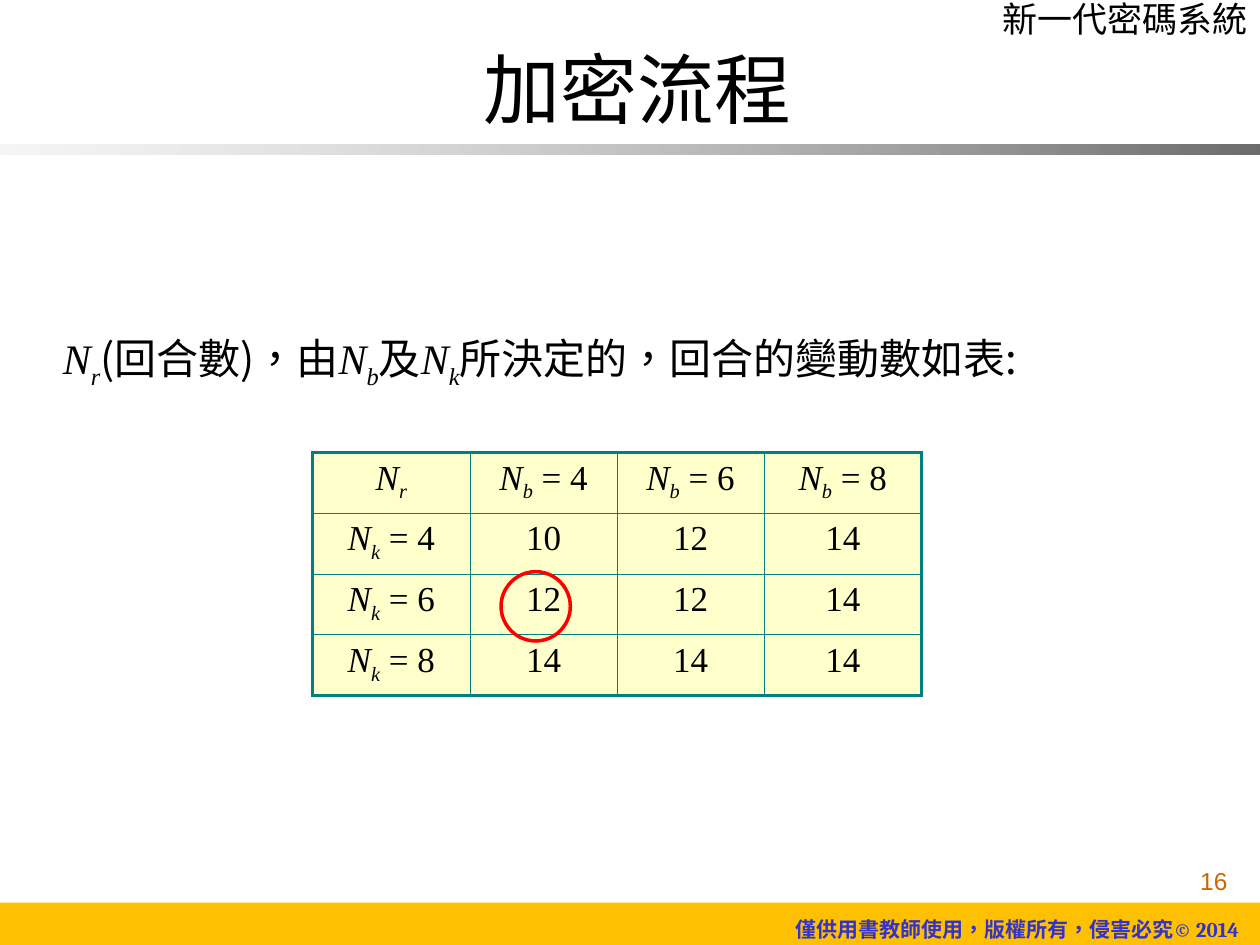
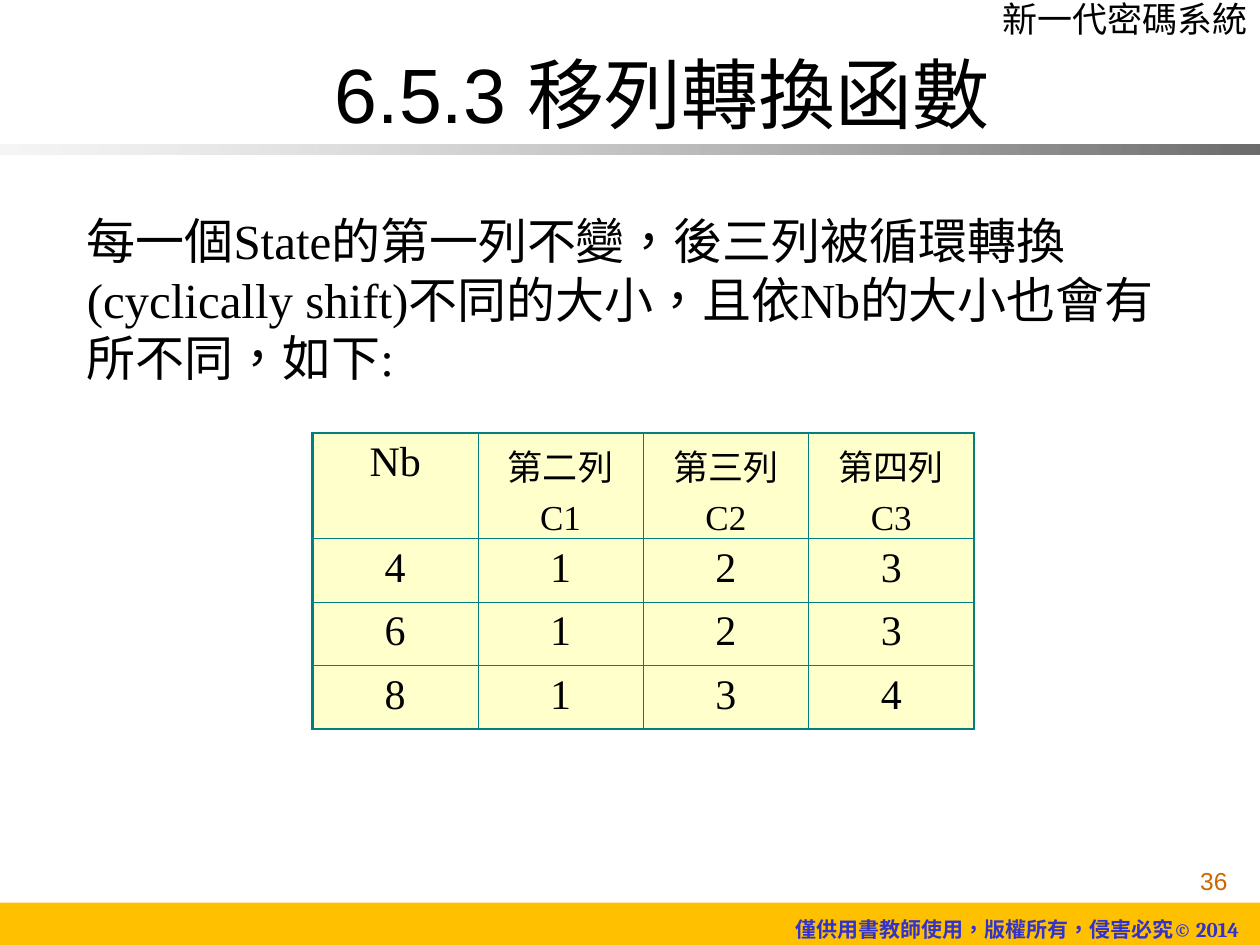
from lxml.etree import SubElement
from pptx import Presentation
from pptx.dml.color import RGBColor
from pptx.enum.shapes import MSO_SHAPE
from pptx.enum.text import MSO_AUTO_SIZE, PP_ALIGN
from pptx.oxml.ns import qn
from pptx.util import Pt

COLORS = {
    "text": "000000", "footer": "FFC000", "notice": "3333CC", "number": "CC6600",
    "cell": "FFFFCC", "border": "008080", "ring": "FF0000",
    "band_start": "EAEAEA", "band_end": "6C6C6C",
}
SERIF, SANS, CHINESE = "Times New Roman", "Arial", "Noto Sans CJK SC"
BOOK = "新一代密碼系統"
NOTICE = "僅供用書教師使用，版權所有，侵害必究© 2014"

ROUNDS = {
    "number": "16",
    "title": [("加密流程", SERIF)],
    "title_box": (269.3, 20.2, 192, 60.5),
    "body": "N_r(回合數)，由N_b及N_k所決定的，回合的變動數如表:",
    "body_font": CHINESE, "body_size": 24, "body_wrap": False,
    "body_box": (28.8, 186.5, 626.4, 40.3),
    "rows": [
        ["N_r", "N_b = 4", "N_b = 6", "N_b = 8"],
        ["N_k = 4", "10", "12", "14"],
        ["N_k = 6", "12", "12", "14"],
        ["N_k = 8", "14", "14", "14"],
    ],
    "cell_size": 20, "table_top": 258.6,
    "widths": [90, 84, 84, 90], "heights": [34.7] * 4,
    "ring": (286.3, 326.7, 39.6, 39.6),
}
SHIFTS = {
    "number": "36",
    "title": [("6.5.3 ", SANS), ("移列轉換函數", SERIF)],
    "title_box": (184.3, 23, 402, 60.5),
    "body": "每一個State的第一列不變，後三列被循環轉換(cyclically shift)不同的大小，"
            "且依Nb的大小也會有所不同，如下:",
    "body_font": SERIF, "body_size": 28, "body_wrap": True,
    "body_box": (42.5, 116.6, 635, 108),
    "rows": [
        ["Nb", "第二列\nC1", "第三列\nC2", "第四列\nC3"],
        ["4", "1", "2", "3"],
        ["6", "1", "2", "3"],
        ["8", "1", "3", "4"],
    ],
    "cell_size": 24, "table_top": 247.5,
    "widths": [94.5] * 4, "heights": [60.4, 36.2, 36.2, 36.2],
    "ring": None,
}
STACKED_SIZE = 20
TABLE_LEFT = 178.6
THICK, THIN = 1.47, 0.45


def rgb(name):
    return RGBColor.from_string(COLORS[name])


def points(box):
    return [Pt(value) for value in box]


def add_run(paragraph, text, name=None, subscript=False, italic=None):
    run = paragraph.add_run()
    run.text = text
    run.font.italic = italic
    if name:
        run.font.name = name
    properties = run._r.get_or_add_rPr()
    properties.set("lang", "zh-TW")
    if subscript:
        properties.set("baseline", "-25000")
    east_asian = SubElement(properties, qn("a:ea"))
    east_asian.set("typeface", CHINESE)


def add_math(paragraph, text, plain_font=None):
    start, *symbols = text.split("N_")
    if start:
        add_run(paragraph, start, plain_font)
    for symbol in symbols:
        add_run(paragraph, "N", SERIF, italic=True)
        add_run(paragraph, symbol[0], SERIF, subscript=True, italic=True)
        if symbol[1:]:
            add_run(paragraph, symbol[1:], plain_font)


def style(paragraph, size, color="text", name=None, align=PP_ALIGN.LEFT):
    paragraph.alignment = align
    paragraph.font.size = Pt(size)
    paragraph.font.color.rgb = rgb(color)
    if name:
        paragraph.font.name = name


def add_text(slide, box, size, color="text", name=None, align=PP_ALIGN.LEFT, wrap=True):
    frame = slide.shapes.add_textbox(*points(box)).text_frame
    frame.word_wrap = wrap
    if not wrap:
        frame.auto_size = MSO_AUTO_SIZE.SHAPE_TO_FIT_TEXT
    paragraph = frame.paragraphs[0]
    style(paragraph, size, color, name, align)
    return paragraph


def add_plain_shape(slide, kind, box):
    shape = slide.shapes.add_shape(kind, *points(box))
    shape.shadow.inherit = False
    return shape


def add_frame(slide, number):
    footer = add_plain_shape(slide, MSO_SHAPE.RECTANGLE, (0, 515.8, 720, 25.9))
    footer.fill.solid()
    footer.fill.fore_color.rgb = rgb("footer")
    footer.line.fill.background()

    band = add_plain_shape(slide, MSO_SHAPE.RECTANGLE, (0, 82.5, 720, 6))
    band.fill.gradient()
    band.fill.gradient_angle = 0
    band.line.fill.background()
    for stop, position, color in zip(band.fill.gradient_stops, (0, 1), ("band_start", "band_end")):
        stop.position = position
        stop.color.rgb = rgb(color)
    first_color = next(band._element.iter(qn("a:gs")))[0]
    SubElement(first_color, qn("a:alpha")).set("val", "45000")

    add_run(add_text(slide, (528.5, -5, 191.5, 31.7), 20, name=SERIF, align=PP_ALIGN.RIGHT), BOOK)
    notice = add_text(slide, (447.5, 520.4, 272.9, 21.6), 12, "notice", "Cambria", wrap=False)
    notice.font.bold = True
    add_run(notice, NOTICE)
    add_run(add_text(slide, (558.7, 491.3, 149.8, 36), 14, "number", SANS, PP_ALIGN.RIGHT), number)


def set_borders(cell, widths):
    properties = cell._tc.get_or_add_tcPr()
    for side, width in zip("LRTB", widths):
        line = SubElement(properties, qn(f"a:ln{side}"))
        line.set("w", str(Pt(width)))
        fill = SubElement(line, qn("a:solidFill"))
        SubElement(fill, qn("a:srgbClr")).set("val", COLORS["border"])


def add_value_table(slide, content):
    rows, widths, heights = content["rows"], content["widths"], content["heights"]
    box = (TABLE_LEFT, content["table_top"], sum(widths), sum(heights))
    table = slide.shapes.add_table(len(rows), len(widths), *points(box)).table
    table.first_row = table.horz_banding = False
    for column, width in zip(table.columns, widths):
        column.width = Pt(width)
    for row, height in zip(table.rows, heights):
        row.height = Pt(height)
    last_row, last_column = len(rows) - 1, len(widths) - 1
    for i, values in enumerate(rows):
        for j, value in enumerate(values):
            cell = table.cell(i, j)
            outer = (j == 0, j == last_column, i == 0, i == last_row)
            set_borders(cell, [THICK if edge else THIN for edge in outer])
            cell.fill.solid()
            cell.fill.fore_color.rgb = rgb("cell")
            lines = value.split("\n")
            size = STACKED_SIZE if len(lines) > 1 else content["cell_size"]
            for k, line in enumerate(lines):
                frame = cell.text_frame
                paragraph = frame.add_paragraph() if k else frame.paragraphs[0]
                style(paragraph, size, name=SERIF, align=PP_ALIGN.CENTER)
                paragraph.space_before = Pt(size / 4)
                add_math(paragraph, line)


def build_slide(presentation, content):
    slide = presentation.slides.add_slide(presentation.slide_layouts[6])
    add_frame(slide, content["number"])
    body = add_text(slide, content["body_box"], content["body_size"], wrap=content["body_wrap"])
    add_math(body, content["body"], content["body_font"])
    add_value_table(slide, content)
    title = add_text(slide, content["title_box"], 44, wrap=False)
    for text, name in content["title"]:
        add_run(title, text, name)
    if content["ring"]:
        ring = add_plain_shape(slide, MSO_SHAPE.OVAL, content["ring"])
        ring.fill.background()
        ring.line.color.rgb = rgb("ring")
        ring.line.width = Pt(2)


def main():
    presentation = Presentation()
    presentation.slide_width, presentation.slide_height = Pt(720), Pt(540)
    for content in (ROUNDS, SHIFTS):
        build_slide(presentation, content)
    presentation.save("out.pptx")


if __name__ == "__main__":
    main()
